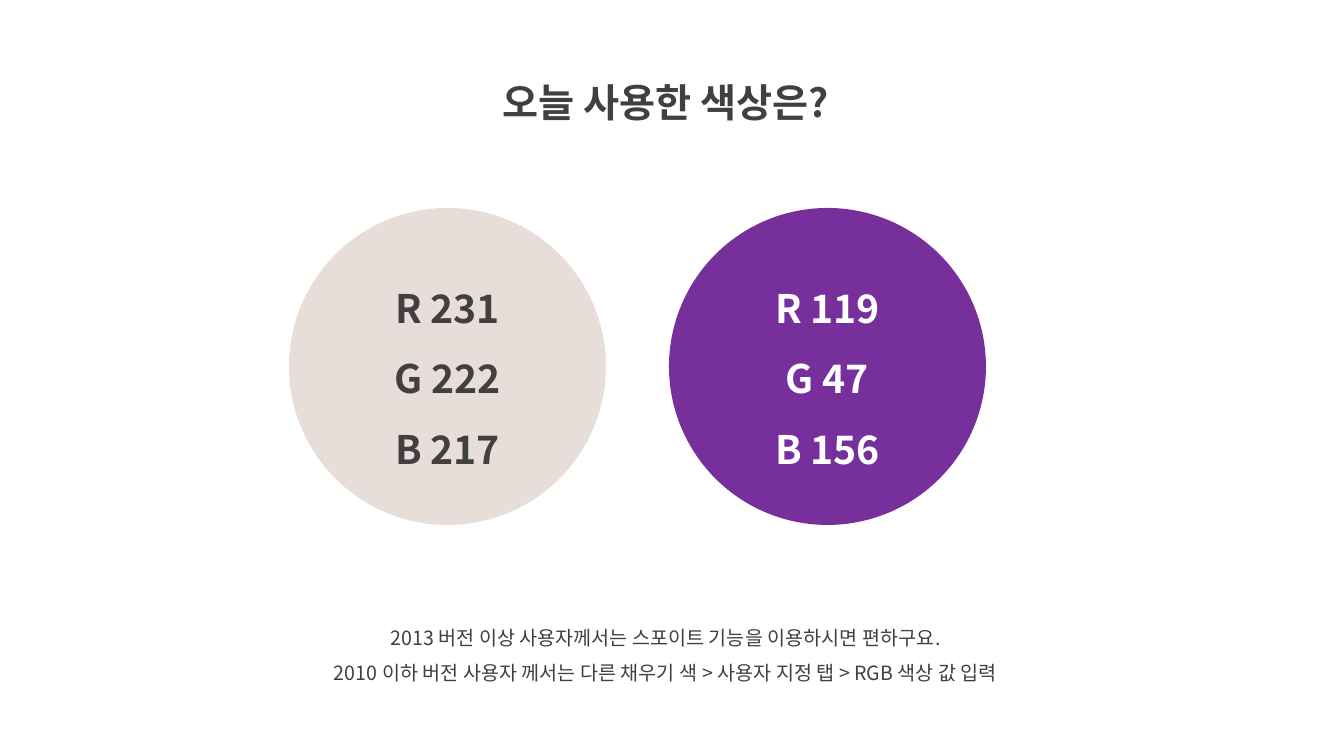
from dataclasses import dataclass

from pptx import Presentation
from pptx.dml.color import RGBColor
from pptx.enum.shapes import MSO_SHAPE as Shape
from pptx.enum.text import MSO_ANCHOR as Anchor, MSO_AUTO_SIZE as AutoSize, PP_ALIGN as Align
from pptx.oxml.ns import qn
from pptx.slide import Slide
from pptx.text.text import TextFrame
from pptx.util import Pt

EMU_PER_PIXEL = 914400 / 100.8


@dataclass(frozen=True)
class Theme:
    font: str = "Noto Sans CJK KR"
    ink: RGBColor = RGBColor(64, 64, 64)
    white: RGBColor = RGBColor(255, 255, 255)
    beige: RGBColor = RGBColor(231, 222, 217)
    purple: RGBColor = RGBColor(119, 47, 156)
    heading_size: int = 28
    note_size: int = 14
    line_spacing: float = 1.5


@dataclass(frozen=True)
class Swatch:
    fill: RGBColor
    ink: RGBColor


THEME = Theme()
SWATCHES = (Swatch(THEME.beige, THEME.ink), Swatch(THEME.purple, THEME.white))
SWATCH_LEFT, SWATCH_TOP, SWATCH_SIZE, SWATCH_PITCH = 289, 208, 317, 380
TITLE = "오늘 사용한 색상은?"
VERSION_NOTES = [
    "2013 버전 이상 사용자께서는 스포이트 기능을 이용하시면 편하구요.",
    "2010 이하 버전 사용자 께서는 다른 채우기 색 > 사용자 지정 탭 > RGB 색상 값 입력",
]


def px(pixels: int) -> int:
    return round(pixels * EMU_PER_PIXEL)


def box(left: int, top: int, width: int, height: int) -> tuple[int, ...]:
    return tuple(px(length) for length in (left, top, width, height))


def write_lines(frame: TextFrame, lines: list[str], size: int,
                color: RGBColor, bold: bool, anchor: Anchor) -> None:
    frame.text = "\n".join(lines)
    frame.word_wrap = True
    frame.vertical_anchor = anchor
    for paragraph in frame.paragraphs:
        paragraph.alignment = Align.CENTER
        paragraph.line_spacing = THEME.line_spacing
        font = paragraph.font
        font.name, font.size, font.bold = THEME.font, Pt(size), bold
        font.color.rgb = color
        # Hangul takes its typeface from the East Asian font
        defaults = paragraph._p.pPr.find(qn("a:defRPr"))
        east_asian = defaults.makeelement(qn("a:ea"), {"typeface": THEME.font})
        defaults.find(qn("a:latin")).addnext(east_asian)


def add_title(slide: Slide) -> None:
    title = slide.shapes.title
    title.left, title.top, title.width, title.height = box(432, 50, 467, 73)
    write_lines(title.text_frame, [TITLE], THEME.heading_size, THEME.ink, True, Anchor.TOP)
    title.text_frame.auto_size = AutoSize.SHAPE_TO_FIT_TEXT


def add_swatch(slide: Slide, swatch: Swatch, left: int) -> None:
    circle = slide.shapes.add_shape(
        Shape.OVAL, *box(left, SWATCH_TOP, SWATCH_SIZE, SWATCH_SIZE))
    circle.shadow.inherit = False
    circle.fill.solid()
    circle.fill.fore_color.rgb = swatch.fill
    circle.line.fill.background()
    channels = [f"{channel} {value}" for channel, value in zip("RGB", swatch.fill)]
    write_lines(circle.text_frame, channels, THEME.heading_size, swatch.ink, True, Anchor.MIDDLE)


def add_version_notes(slide: Slide) -> None:
    notes = slide.shapes.add_textbox(*box(263, 609, 805, 82)).text_frame
    write_lines(notes, VERSION_NOTES, THEME.note_size, THEME.ink, False, Anchor.TOP)
    notes.auto_size = AutoSize.SHAPE_TO_FIT_TEXT


# Slide with the template's title only
presentation = Presentation()
presentation.slide_width, presentation.slide_height = px(1344), px(756)
color_slide = presentation.slides.add_slide(presentation.slide_layouts[5])

# Title, colour circles and version notes
add_title(color_slide)
for position, swatch in enumerate(SWATCHES):
    add_swatch(color_slide, swatch, SWATCH_LEFT + position * SWATCH_PITCH)
add_version_notes(color_slide)

presentation.save("out.pptx")
